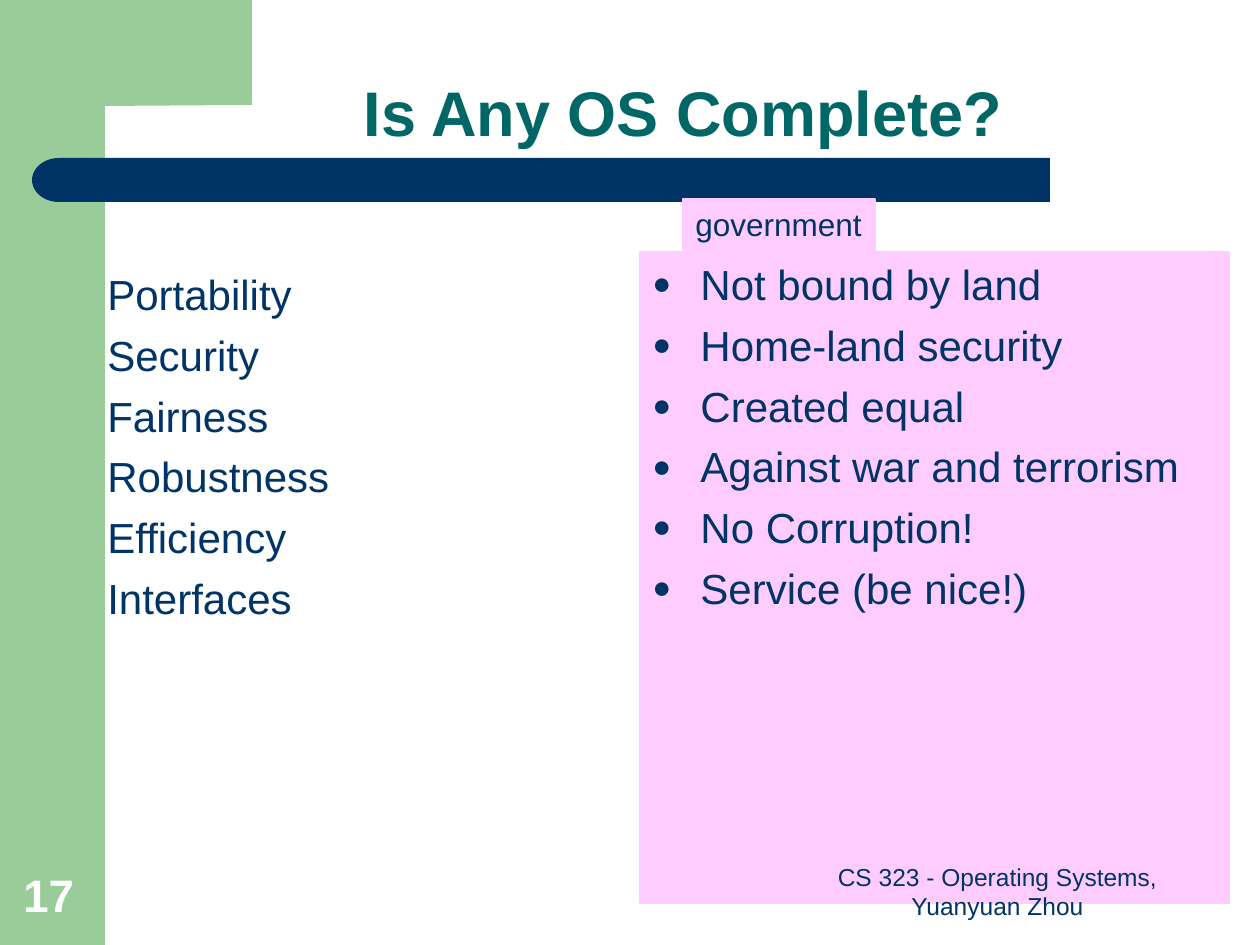
from dataclasses import dataclass

from lxml import etree
from pptx import Presentation
from pptx import util as u
from pptx.dml.color import RGBColor
from pptx.enum import shapes, text
from pptx.oxml.ns import qn

PX = 914400 / 126
NAVY, TEAL, GREEN, PINK, WHITE = "003366", "006666", "99CC99", "FFCCFF", "FFFFFF"
KIND = shapes.MSO_SHAPE
LEFT, MID = text.PP_ALIGN.LEFT, text.PP_ALIGN.CENTER
TOP, BASE = text.MSO_ANCHOR.TOP, text.MSO_ANCHOR.BOTTOM


@dataclass(frozen=True)
class Box:
    x: int
    y: int
    w: int
    h: int

    def emu(self) -> list[u.Emu]:
        return [px(v) for v in (self.x, self.y, self.w, self.h)]


@dataclass(frozen=True)
class Label:
    box: Box
    lines: tuple[str, ...]
    size: int
    color: str = NAVY
    bold: bool = False
    align: int = LEFT
    anchor: int = TOP
    fill: str = ""
    wrap: bool = True
    dots: bool = False
    gap: int = 0
    lead: float = 1.0


@dataclass(frozen=True)
class Block:
    kind: int
    box: Box
    color: str
    turn: int = 0


BLOCKS = (
    Block(KIND.RECTANGLE, Box(84, 158, 966, 44), NAVY),
    Block(KIND.FLOWCHART_DELAY, Box(32, 158, 54, 44), NAVY, 180),
)
CORNER = ((252, 0), (252, 105), (105, 106), (102, 105), (97, 107), (89, 116),
          (86, 131), (84, 146), (84, 161), (63, 161), (63, 0))
GOALS = ("Portability", "Security", "Fairness",
         "Robustness", "Efficiency", "Interfaces")
STATE = ("Not bound by land", "Home-land security", "Created equal",
         "Against war and terrorism", "No Corruption!", "Service (be nice!)")
LABELS = (
    Label(Box(137, 73, 1092, 83), ("Is Any OS Complete?",), 36, TEAL,
          bold=True, align=MID, anchor=BASE, lead=0.9),
    Label(Box(95, 262, 519, 651), GOALS, 24, gap=6),
    Label(Box(683, 199, 192, 51), ("government",), 18, fill=PINK, wrap=False),
    Label(Box(640, 252, 589, 651), STATE, 24, fill=PINK, dots=True, gap=6),
    Label(Box(798, 861, 399, 66),
          ("CS 323 - Operating Systems, Yuanyuan Zhou",), 14,
          align=MID, anchor=BASE),
    Label(Box(11, 861, 81, 67), ("17",), 26, WHITE, bold=True, anchor=BASE),
)


def px(n: int) -> u.Emu:
    return u.Emu(round(n * PX))


def rgb(color: str) -> RGBColor:
    return RGBColor.from_string(color)


def paint(shape, color: str) -> None:
    shape.shadow.inherit = False
    shape.fill.solid()
    shape.fill.fore_color.rgb = rgb(color)
    shape.line.fill.background()


def add_block(slide, block: Block) -> None:
    shape = slide.shapes.add_shape(block.kind, *block.box.emu())
    shape.rotation = block.turn
    paint(shape, block.color)


def add_corner(slide) -> None:
    path = slide.shapes.build_freeform(*CORNER[0], scale=PX)
    path.add_line_segments(CORNER[1:])
    paint(path.convert_to_shape(), GREEN)


def add_dot(para) -> None:
    """Give the paragraph a hanging round bullet."""
    props = para._p.get_or_add_pPr()
    props.set("marL", str(px(48)))
    props.set("indent", str(-px(48)))
    tint = etree.SubElement(props, qn("a:buClr"))
    etree.SubElement(tint, qn("a:srgbClr"), val=NAVY)
    etree.SubElement(props, qn("a:buSzPct"), val="75000")
    etree.SubElement(props, qn("a:buFont"), typeface="Arial")
    etree.SubElement(props, qn("a:buChar"), char="●")


def add_label(slide, label: Label) -> None:
    shape = slide.shapes.add_textbox(*label.box.emu())
    if label.fill:
        paint(shape, label.fill)
        shape.line.color.rgb = rgb(label.fill)
        shape.line.width = u.Pt(0.75)
    frame = shape.text_frame
    frame.word_wrap = label.wrap
    frame.vertical_anchor = label.anchor
    frame.text = "\n".join(label.lines)
    for i, para in enumerate(frame.paragraphs):
        para.alignment = label.align
        para.line_spacing = label.lead
        if i and label.gap:
            para.space_before = u.Pt(label.gap)
        if label.dots:
            add_dot(para)
        font = para.font
        font.name, font.size, font.bold = "Arial", u.Pt(label.size), label.bold
        font.color.rgb = rgb(label.color)


def main() -> None:
    deck = Presentation()
    deck.slide_width, deck.slide_height = px(1260), px(945)
    slide = deck.slides.add_slide(deck.slide_layouts[6])
    add_block(slide, Block(KIND.RECTANGLE, Box(0, 0, 105, 945), GREEN))
    add_corner(slide)
    for block in BLOCKS:
        add_block(slide, block)
    for label in LABELS:
        add_label(slide, label)
    deck.save("out.pptx")


if __name__ == "__main__":
    main()
